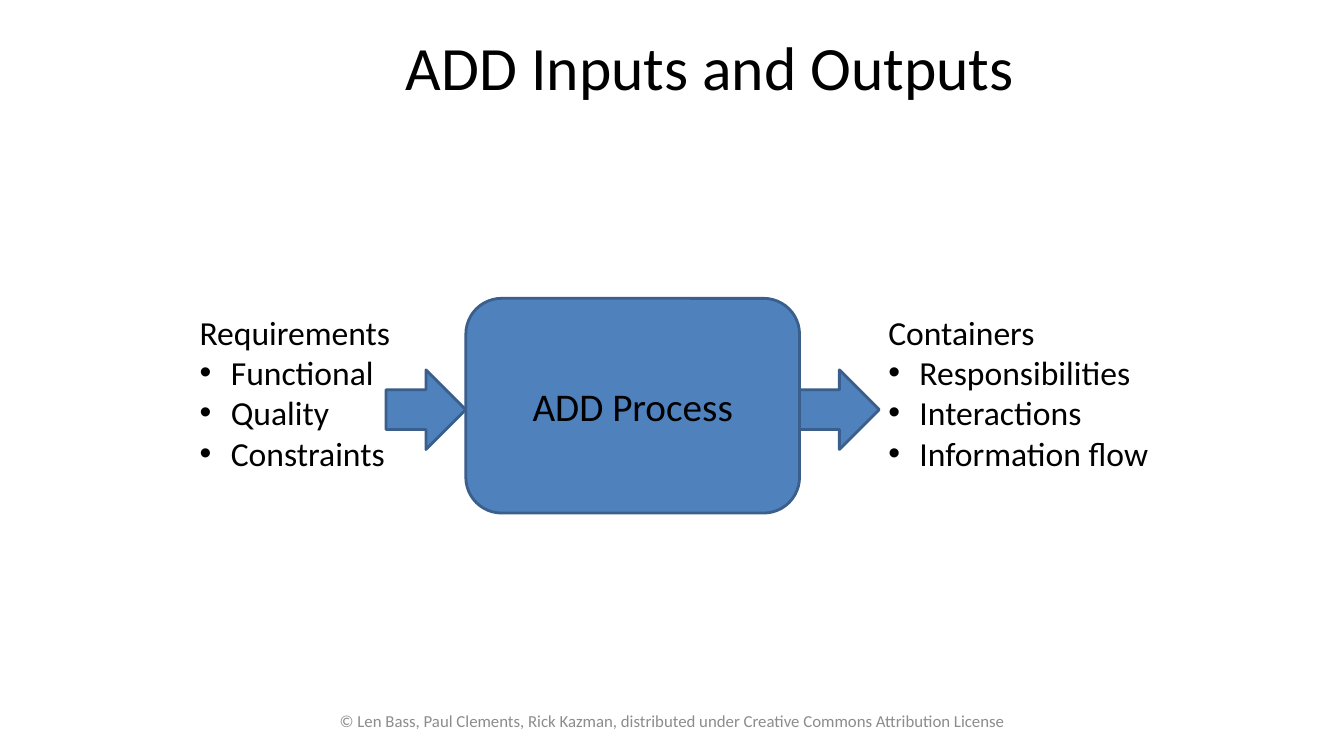
from dataclasses import dataclass

from lxml import etree
from pptx import Presentation
from pptx.dml.color import RGBColor
from pptx.enum.shapes import MSO_SHAPE
from pptx.enum.text import MSO_ANCHOR, MSO_AUTO_SIZE, PP_ALIGN
from pptx.oxml.ns import qn
from pptx.shapes.base import BaseShape
from pptx.slide import Slide
from pptx.text.text import TextFrame, _Paragraph
from pptx.util import Inches, Pt

ROUNDED, ARROW = MSO_SHAPE.ROUNDED_RECTANGLE, MSO_SHAPE.RIGHT_ARROW
CENTER, LEFT = PP_ALIGN.CENTER, PP_ALIGN.LEFT
MIDDLE, TOP = MSO_ANCHOR.MIDDLE, MSO_ANCHOR.TOP
FIT_TEXT, NO_FIT = MSO_AUTO_SIZE.SHAPE_TO_FIT_TEXT, MSO_AUTO_SIZE.NONE

SLIDE_WIDTH, SLIDE_HEIGHT = Inches(13.33), Inches(7.5)
TWO_CONTENT_LAYOUT = 3
BULLET_INDENT = Inches(0.31)


@dataclass(frozen=True)
class Theme:
    font: str = "Calibri"
    ink: RGBColor = RGBColor(0x00, 0x00, 0x00)
    muted: RGBColor = RGBColor(0x8C, 0x8C, 0x8C)
    fill: RGBColor = RGBColor(0x4F, 0x81, 0xBD)
    outline: RGBColor = RGBColor(0x3A, 0x5F, 0x8C)
    outline_width: Pt = Pt(2)
    title_size: Pt = Pt(44)
    process_size: Pt = Pt(28)
    list_size: Pt = Pt(24)
    footer_size: Pt = Pt(12)


THEME = Theme()


@dataclass(frozen=True)
class Area:
    """A rectangle in percent of the slide's width and height."""
    left: float
    top: float
    width: float
    height: float

    def place(self, shape: BaseShape) -> None:
        shape.left, shape.top, shape.width, shape.height = self.emu()

    def emu(self) -> tuple[int, int, int, int]:
        return (round(self.left * SLIDE_WIDTH / 100), round(self.top * SLIDE_HEIGHT / 100),
                round(self.width * SLIDE_WIDTH / 100), round(self.height * SLIDE_HEIGHT / 100))


@dataclass(frozen=True)
class Artifacts:
    """A heading and its bullets, on one side of the process."""
    placeholder: int
    area: Area
    wraps: bool
    heading: str
    items: tuple[str, ...]


TITLE_AREA = Area(10.65, 4, 84.4, 11.33)
FOOTER_AREA = Area(15.38, 92.67, 69.32, 5.33)
PROCESS_AREA = Area(34.66, 39.47, 24.83, 28.4)
ARROW_TOP, ARROW_WIDTH, ARROW_HEIGHT = 48.93, 5.93, 10.53
ARROW_LEFTS = (PROCESS_AREA.left - ARROW_WIDTH, PROCESS_AREA.left + PROCESS_AREA.width)
LIST_TOP, LIST_HEIGHT = 40.53, 22.93

ARTIFACTS = (
    Artifacts(1, Area(14.1, LIST_TOP, 15.83, LIST_HEIGHT), False,
              "Requirements", ("Functional", "Quality", "Constraints")),
    Artifacts(2, Area(65.34, LIST_TOP, 23.33, LIST_HEIGHT), True,
              "Containers", ("Responsibilities", "Interactions", "Information flow")),
)


def add_run(paragraph: _Paragraph, text: str, size: Pt, color: RGBColor = THEME.ink) -> None:
    run = paragraph.add_run()
    run.text = text
    run.font.name, run.font.size = THEME.font, size
    run.font.color.rgb = color


def write_centered(frame: TextFrame, text: str, size: Pt, color: RGBColor = THEME.ink) -> None:
    frame.word_wrap, frame.auto_size = True, NO_FIT
    frame.vertical_anchor = MIDDLE
    frame.paragraphs[0].alignment = CENTER
    add_run(frame.paragraphs[0], text, size, color)


def set_bullet(paragraph: _Paragraph, bulleted: bool) -> None:
    properties = paragraph._p.get_or_add_pPr()
    indent = BULLET_INDENT if bulleted else 0
    properties.set("marL", str(indent))
    properties.set("indent", str(-indent))
    if bulleted:
        etree.SubElement(properties, qn("a:buFont"), typeface="Arial")
        etree.SubElement(properties, qn("a:buChar"), char="•")
    else:
        etree.SubElement(properties, qn("a:buNone"))


def write_artifacts(slide: Slide, artifacts: Artifacts) -> None:
    body = slide.placeholders[artifacts.placeholder]
    artifacts.area.place(body)
    frame = body.text_frame
    frame.word_wrap, frame.auto_size = artifacts.wraps, FIT_TEXT
    frame.vertical_anchor = TOP
    for row, text in enumerate((artifacts.heading, *artifacts.items)):
        paragraph = frame.add_paragraph() if row else frame.paragraphs[0]
        set_bullet(paragraph, bulleted=row > 0)
        paragraph.alignment = LEFT
        paragraph.space_before = Pt(0)
        add_run(paragraph, text, THEME.list_size)


def add_block(slide: Slide, kind: MSO_SHAPE, area: Area) -> BaseShape:
    block = slide.shapes.add_shape(kind, *area.emu())
    block.shadow.inherit = False
    block.fill.solid()
    block.fill.fore_color.rgb = THEME.fill
    block.line.color.rgb = THEME.outline
    block.line.width = THEME.outline_width
    return block


def main() -> None:
    deck = Presentation()
    deck.slide_width, deck.slide_height = SLIDE_WIDTH, SLIDE_HEIGHT
    slide = deck.slides.add_slide(deck.slide_layouts[TWO_CONTENT_LAYOUT])

    title = slide.shapes.title
    TITLE_AREA.place(title)
    write_centered(title.text_frame, "ADD Inputs and Outputs", THEME.title_size)
    title.text_frame.paragraphs[0].line_spacing = 0.8

    footer = slide.shapes.add_textbox(*FOOTER_AREA.emu())
    write_centered(
        footer.text_frame,
        "© Len Bass, Paul Clements, Rick Kazman, distributed under "
        "Creative Commons Attribution License",
        THEME.footer_size, THEME.muted)

    process = add_block(slide, ROUNDED, PROCESS_AREA)
    write_centered(process.text_frame, "ADD Process", THEME.process_size)

    for artifacts in ARTIFACTS:
        write_artifacts(slide, artifacts)
    for left in ARROW_LEFTS:
        add_block(slide, ARROW, Area(left, ARROW_TOP, ARROW_WIDTH, ARROW_HEIGHT))

    deck.save("out.pptx")


if __name__ == "__main__":
    main()
